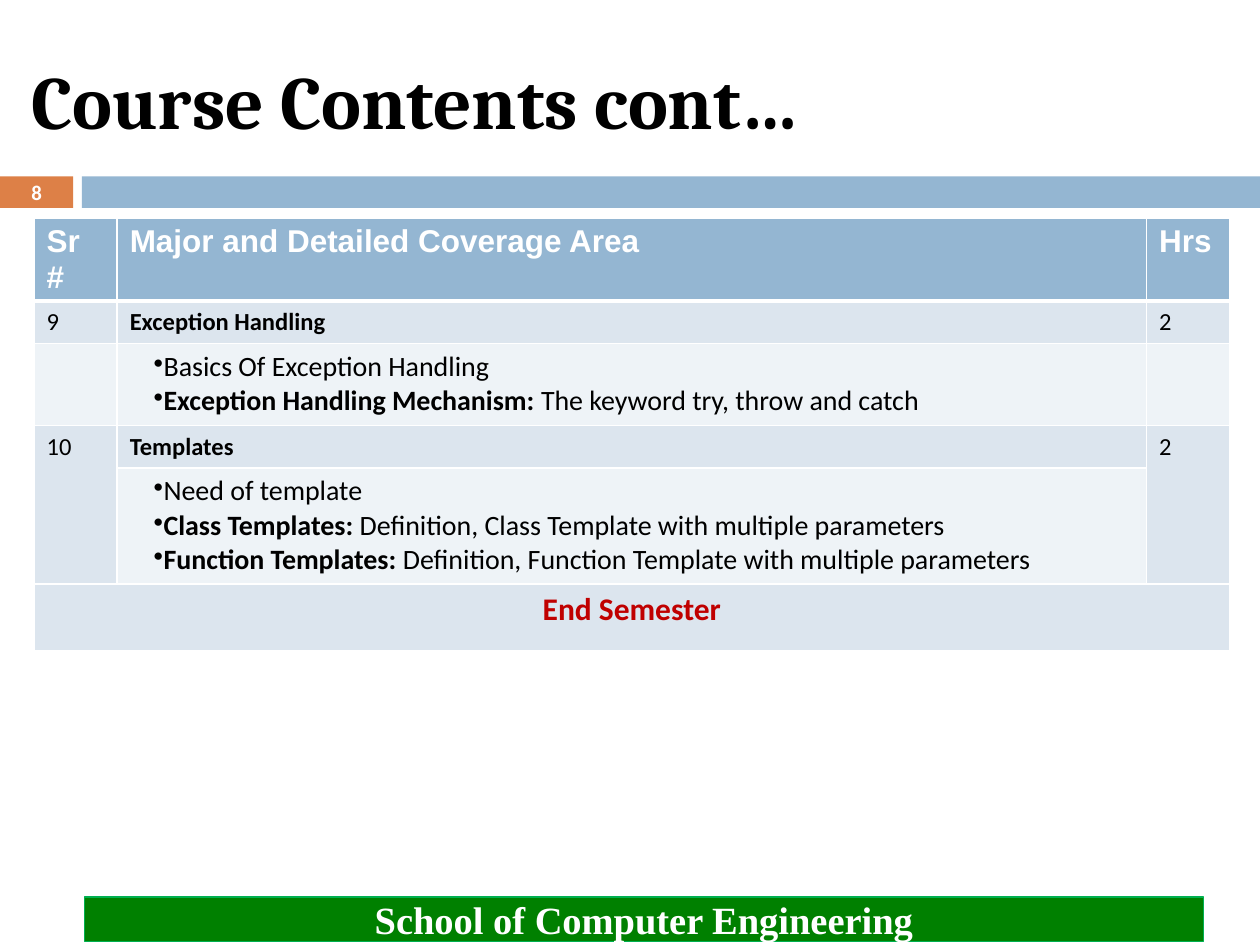
"""Build the course contents slide with its coverage table."""
import pptx
import pptx.dml.color
import pptx.enum.shapes
import pptx.enum.text
import pptx.oxml
import pptx.oxml.ns
import pptx.util

Inches = pptx.util.Inches
Pt = pptx.util.Pt
RGBColor = pptx.dml.color.RGBColor
ALIGN = pptx.enum.text.PP_ALIGN
MIDDLE = pptx.enum.text.MSO_ANCHOR.MIDDLE

BLACK = RGBColor(0, 0, 0)
WHITE = RGBColor(0xFF, 0xFF, 0xFF)
ORANGE = RGBColor(0xDD, 0x80, 0x47)
BLUE = RGBColor(0x94, 0xB6, 0xD2)
BAND = RGBColor(0xDC, 0xE5, 0xEE)
PALE = RGBColor(0xEE, 0xF3, 0xF7)
GREEN = RGBColor(0, 0x80, 0)
LINE_GREEN = RGBColor(0, 0xB0, 0x50)
RED = RGBColor(0xC0, 0, 0)


def add_run(p, text, size, font, color, bold=False):
    r = p.add_run()
    r.text = text
    r.font.size = Pt(size)
    r.font.name = font
    r.font.color.rgb = color
    r.font.bold = bold


def add_rect(left, top, width, height, fill):
    sp = s.shapes.add_shape(pptx.enum.shapes.MSO_SHAPE.RECTANGLE,
                            Inches(left), Inches(top), Inches(width), Inches(height))
    sp.shadow.inherit = False
    sp.fill.solid()
    sp.fill.fore_color.rgb = fill
    sp.line.fill.background()
    return sp


prs = pptx.Presentation()
prs.slide_width = Inches(10)
prs.slide_height = Inches(7.5)
s = prs.slides.add_slide(prs.slide_layouts[5])

add_rect(0, 1.4, 0.58, 0.25, ORANGE)
add_rect(0.65, 1.4, 9.35, 0.25, BLUE)

title = s.shapes.title
title.left, title.top = Inches(0.15), Inches(0.25)
title.width, title.height = Inches(8.92), Inches(1.08)
tf = title.text_frame
tf.vertical_anchor = MIDDLE
tf.paragraphs[0].alignment = ALIGN.LEFT
add_run(tf.paragraphs[0], "Course Contents cont…", 43, "Cambria", BLACK, True)

footer = add_rect(0.67, 7.12, 8.88, 0.35, GREEN)
footer.line.color.rgb = LINE_GREEN
footer.line.width = Pt(0.75)
tf = footer.text_frame
tf.vertical_anchor = MIDDLE
tf.paragraphs[0].alignment = ALIGN.CENTER
add_run(tf.paragraphs[0], "School of Computer Engineering", 22, "Times New Roman", WHITE, True)

row_heights = [0.66, 0.33, 0.65, 0.33, 0.92, 0.53]
col_widths = [0.66, 8.17, 0.66]
table = s.shapes.add_table(len(row_heights), len(col_widths), Inches(0.27), Inches(1.73),
                           Inches(sum(col_widths)), Inches(sum(row_heights))).table
for row, height in zip(table.rows, row_heights):
    row.height = Inches(height)
for col, width in zip(table.columns, col_widths):
    col.width = Inches(width)

row_fills = [BLUE, BAND, PALE, BAND, PALE, BAND]
for i, fill in enumerate(row_fills):
    for j in range(len(col_widths)):
        cell = table.cell(i, j)
        cell.fill.solid()
        cell.fill.fore_color.rgb = fill
        tcPr = cell._tc.get_or_add_tcPr()
        for k, side in enumerate("LRTB"):
            heavy = (i, side) in [(0, "B"), (1, "T")]
            tcPr.insert(k, pptx.oxml.parse_xml(
                f'<a:ln{side} {pptx.oxml.ns.nsdecls("a")} w="{Pt(3 if heavy else 1)}">'
                f'<a:solidFill><a:srgbClr val="{WHITE}"/></a:solidFill></a:ln{side}>'))

for j in (0, 2):
    table.cell(3, j).merge(table.cell(4, j))
table.cell(5, 0).merge(table.cell(5, 2))

for j, text in enumerate(["Sr #", "Major and Detailed Coverage Area", "Hrs"]):
    add_run(table.cell(0, j).text_frame.paragraphs[0], text, 18, "Arial", WHITE, True)

units = {
    1: ("9", "Exception Handling", "2"),
    3: ("10", "Templates", "2"),
}
for i, texts in units.items():
    for j, text in enumerate(texts):
        add_run(table.cell(i, j).text_frame.paragraphs[0], text, 14, "Calibri", BLACK, j == 1)

topics = {
    2: [("", "Basics Of Exception Handling"),
        ("Exception Handling Mechanism: ", "The keyword try, throw and catch")],
    4: [("", "Need of template"),
        ("Class Templates: ", "Definition, Class Template with multiple parameters"),
        ("Function Templates: ", "Definition, Function Template with multiple parameters")],
}
for i, items in topics.items():
    tf = table.cell(i, 1).text_frame
    for n, (lead, text) in enumerate(items):
        p = tf.add_paragraph() if n else tf.paragraphs[0]
        pPr = p._p.get_or_add_pPr()
        pPr.set("marL", str(Inches(0.19)))
        pPr.set("indent", "0")
        pPr.append(pptx.oxml.parse_xml(f'<a:buChar {pptx.oxml.ns.nsdecls("a")} char="•"/>'))
        if lead:
            add_run(p, lead, 16, "Calibri", BLACK, True)
        add_run(p, text, 16, "Calibri", BLACK)

p = table.cell(5, 0).text_frame.paragraphs[0]
p.alignment = ALIGN.CENTER
add_run(p, "End Semester", 18, "Calibri", RED, True)

number = s.shapes.add_textbox(Inches(0), Inches(1.39), Inches(0.58), Inches(0.27))
tf = number.text_frame
tf.word_wrap = True
tf.vertical_anchor = MIDDLE
tf.paragraphs[0].alignment = ALIGN.CENTER
add_run(tf.paragraphs[0], "8", 11.9, "Calibri", WHITE, True)

prs.save("out.pptx")
